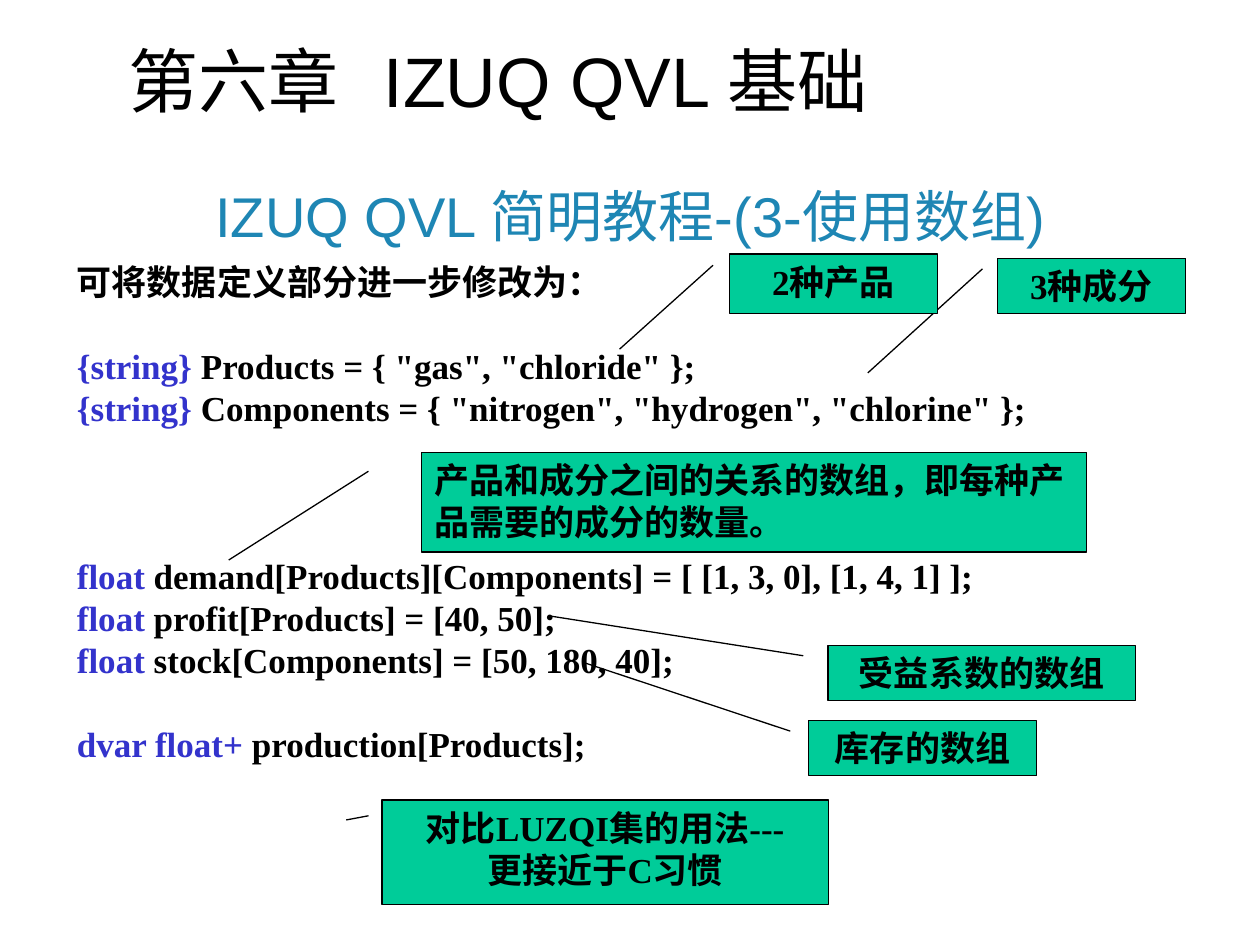
from dataclasses import dataclass

from lxml import etree
from pptx import Presentation
from pptx import util as u
from pptx.dml.color import RGBColor
from pptx.enum import shapes, text
from pptx.oxml.ns import qn

COLORS = {"black": "000000", "keyword": "3333CC", "title": "1E86B4", "callout": "00CC99"}
SANS, SERIF = "Arial", "Times New Roman"
LEFT, CENTER = text.PP_ALIGN.LEFT, text.PP_ALIGN.CENTER
LINE_PT = 24


@dataclass
class Box:
    left: float
    top: float
    width: float
    height: float

    def emu(self) -> list:
        return [u.Cm(v) for v in (self.left, self.top, self.width, self.height)]


@dataclass
class Callout:
    box: Box
    lines: list
    tip: tuple  # pointer end (y, x) as fractions of the box
    align: text.PP_ALIGN = CENTER


@dataclass
class CodeLine:
    keyword: str
    rest: str
    gap: int = 0  # line heights left free above


def rgb(name: str) -> RGBColor:
    return RGBColor.from_string(COLORS[name])


def add_run(p, content: str, size: int, font: str, color: str = "black", bold: bool = False):
    r = p.add_run()
    r.text = content
    r.font.size = u.Pt(size)
    r.font.name = font
    r.font.bold = bold
    r.font.color.rgb = rgb(color)


def add_text_frame(s, box: Box, anchor=text.MSO_ANCHOR.TOP):
    tf = s.shapes.add_textbox(*box.emu()).text_frame
    tf.word_wrap = True
    tf.vertical_anchor = anchor
    return tf


def add_tab_stop(p, position: u.Length):
    tabs = etree.SubElement(p._p.get_or_add_pPr(), qn("a:tabLst"))
    etree.SubElement(tabs, qn("a:tab"), pos=str(int(position)), algn="l")


def add_code(s, box: Box, lines: list):
    tf = add_text_frame(s, box)
    for i, line in enumerate(lines):
        p = tf.add_paragraph() if i else tf.paragraphs[0]
        p.line_spacing = u.Pt(LINE_PT)
        if line.gap:
            p.space_before = u.Pt(line.gap * LINE_PT)
        if line.keyword:
            add_run(p, line.keyword, 20, SERIF, "keyword", True)
        add_run(p, line.rest, 20, SERIF, bold=True)


def add_callout(s, callout: Callout):
    sp = s.shapes.add_shape(shapes.MSO_SHAPE.LINE_CALLOUT_1, *callout.box.emu())
    for i, value in enumerate((0.19, -0.08, *callout.tip)):
        sp.adjustments[i] = value
    sp.shadow.inherit = False
    sp.fill.solid()
    sp.fill.fore_color.rgb = rgb("callout")
    sp.line.color.rgb = rgb("black")
    sp.line.width = u.Pt(0.75)
    tf = sp.text_frame
    tf.word_wrap = True
    tf.vertical_anchor = text.MSO_ANCHOR.TOP
    for i, line in enumerate(callout.lines):
        p = tf.add_paragraph() if i else tf.paragraphs[0]
        p.alignment = callout.align
        add_run(p, line, 20, SERIF, bold=True)


CODE = [
    CodeLine("", "可将数据定义部分进一步修改为："),
    CodeLine("{string}", ' Products = { "gas", "chloride" };', 1),
    CodeLine("{string}", ' Components = { "nitrogen", "hydrogen", "chlorine" };'),
    CodeLine("float", " demand[Products][Components] = [ [1, 3, 0], [1, 4, 1] ];", 3),
    CodeLine("float", " profit[Products] = [40, 50];"),
    CodeLine("float", " stock[Components] = [50, 180, 40];"),
    CodeLine("dvar float+", " production[Products];", 1),
]

CALLOUTS = [
    Callout(Box(20.11, 5.21, 3.79, 1.11), ["3种成分"], (2.08, -0.69)),
    Callout(Box(16.69, 13.01, 6.2, 1.11), ["受益系数的数组"], (-0.53, -0.9)),
    Callout(Box(16.3, 14.53, 4.6, 1.11), ["库存的数组"], (-1.05, -0.98)),
    Callout(Box(8.5, 9.12, 13.41, 2.01),
            ["产品和成分之间的关系的数组，即每种产品需要的成分的数量。"], (1.08, -0.29), LEFT),
    Callout(Box(14.71, 5.12, 4.19, 1.2), ["2种产品"], (1.6, -0.53)),
    Callout(Box(7.7, 16.13, 9, 2.11), ["对比LUZQI集的用法---", "更接近于C习惯"], (0.15, -0.03)),
]


def main():
    prs = Presentation()
    prs.slide_width, prs.slide_height = u.Cm(25.4), u.Cm(19.05)
    s = prs.slides.add_slide(prs.slide_layouts[6])

    p = add_text_frame(s, Box(2.34, 0.64, 20.37, 1.96)).paragraphs[0]
    add_tab_stop(p, u.Cm(5.15))
    add_run(p, "第六章\tIZUQ QVL 基础", 40, SANS)

    p = add_text_frame(s, Box(1.91, 2.74, 21.59, 3.18), text.MSO_ANCHOR.MIDDLE).paragraphs[0]
    p.alignment = CENTER
    add_run(p, "IZUQ QVL 简明教程-(3-使用数组)", 32, SANS, "title")

    add_code(s, Box(1.3, 5.13, 23.22, 12.12), CODE)
    for callout in CALLOUTS:
        add_callout(s, callout)
    prs.save("out.pptx")


if __name__ == "__main__":
    main()
